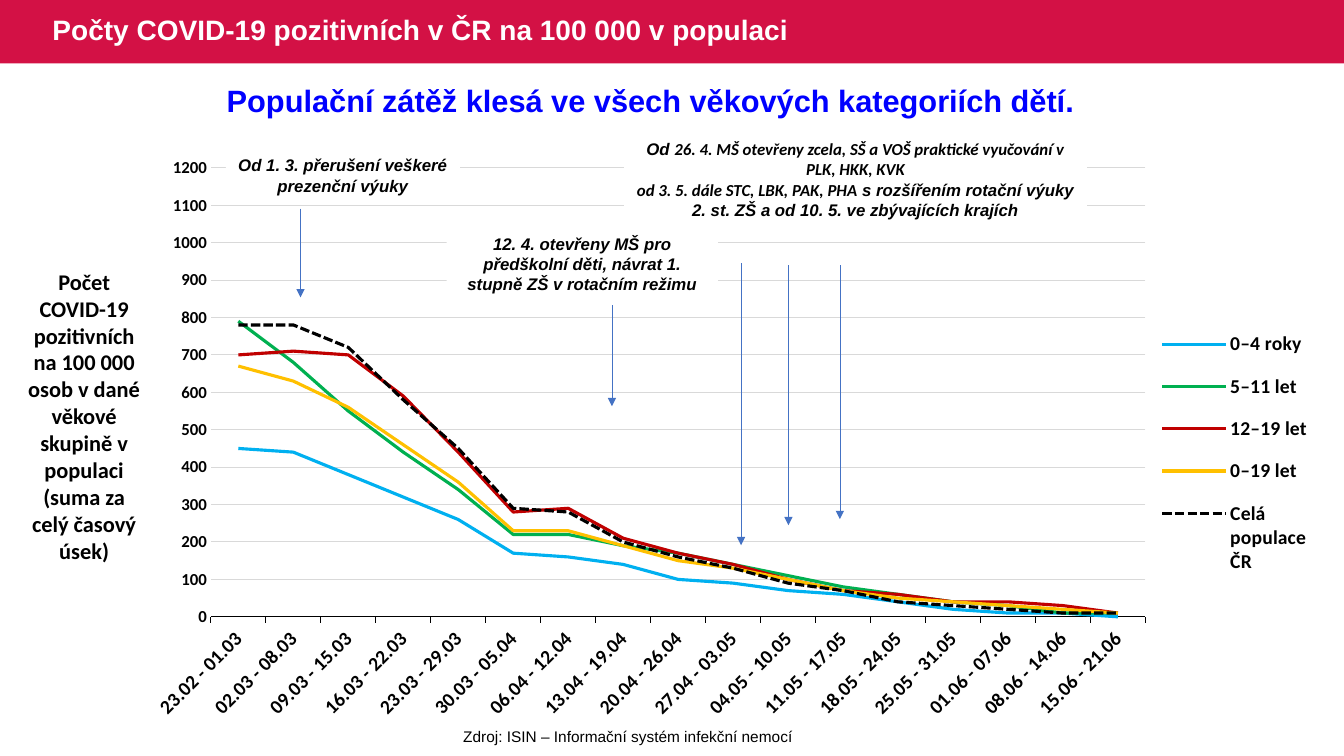
import pptx
import pptx.chart.data
import pptx.dml.color
import pptx.enum.chart
import pptx.enum.dml
import pptx.enum.shapes
import pptx.enum.text
import pptx.oxml
import pptx.oxml.ns
import pptx.util

Inches = pptx.util.Inches
Pt = pptx.util.Pt
RGBColor = pptx.dml.color.RGBColor
qn = pptx.oxml.ns.qn
Align = pptx.enum.text.PP_ALIGN
Tick = pptx.enum.chart.XL_TICK_MARK

RED = RGBColor(0xD3, 0x11, 0x45)
WHITE = RGBColor(0xFF, 0xFF, 0xFF)
BLACK = RGBColor(0, 0, 0)
BLUE = RGBColor(0, 0, 0xFF)
ARROW = RGBColor(0x44, 0x72, 0xC4)
GRID = RGBColor(0xD9, 0xD9, 0xD9)
SKY = RGBColor(0, 0xB0, 0xF0)
GREEN = RGBColor(0, 0xB0, 0x50)
DARK_RED = RGBColor(0xC0, 0, 0)
GOLD = RGBColor(0xFF, 0xC0, 0)


def write(box, text, size=12, font="Arial", colour=BLACK, bold=True, italic=False, align=Align.CENTER):
    box.text_frame.word_wrap = True
    para = box.text_frame.paragraphs[0]
    para.alignment = align
    for number, line in enumerate(text.split("\n")):
        if number:
            para.add_line_break()
        span = para.add_run()
        span.text = line
        span.font.size = Pt(size)
        span.font.name = font
        span.font.bold = bold
        span.font.italic = italic
        span.font.color.rgb = colour


def make_layout(x, y, width, height, target=""):
    return pptx.oxml.parse_xml(
        '<c:layout xmlns:c="http://schemas.openxmlformats.org/drawingml/2006/chart"><c:manualLayout>'
        f'{target}<c:xMode val="edge"/><c:yMode val="edge"/><c:x val="{x}"/><c:y val="{y}"/>'
        f'<c:w val="{width}"/><c:h val="{height}"/></c:manualLayout></c:layout>')


deck = pptx.Presentation()
deck.slide_width = Inches(13.33)
deck.slide_height = Inches(7.5)
page = deck.slides.add_slide(deck.slide_layouts[5])

title = page.shapes.title
title.left, title.top, title.width, title.height = Inches(0.42), 0, Inches(8.37), Inches(0.63)
title.text_frame.vertical_anchor = pptx.enum.text.MSO_ANCHOR.MIDDLE
title.text_frame.auto_size = pptx.enum.text.MSO_AUTO_SIZE.NONE
title.text_frame.paragraphs[0].line_spacing = 0.9
write(title, "Počty COVID-19 pozitivních v ČR na 100 000 v populaci", size=20, colour=WHITE, align=Align.LEFT)

band = page.shapes.add_shape(pptx.enum.shapes.MSO_SHAPE.RECTANGLE, 0, 0, deck.slide_width, Inches(0.63))
band.shadow.inherit = False
band.fill.solid()
band.fill.fore_color.rgb = RED
band.line.fill.background()
title.element.addprevious(band.element)

source = page.shapes.add_textbox(Inches(2.36), Inches(7.16), Inches(7.74), Inches(0.29))
write(source, "Zdroj: ISIN – Informační systém infekční nemocí", size=11, bold=False)

weeks = ["23.02 - 01.03", "02.03 - 08.03", "09.03 - 15.03", "16.03 - 22.03", "23.03 - 29.03", "30.03 - 05.04",
         "06.04 - 12.04", "13.04 - 19.04", "20.04 - 26.04", "27.04 - 03.05", "04.05 - 10.05", "11.05 - 17.05",
         "18.05 - 24.05", "25.05 - 31.05", "01.06 - 07.06", "08.06 - 14.06", "15.06 - 21.06"]
age_groups = [
    ("0–4 roky", SKY, [450, 440, 380, 320, 260, 170, 160, 140, 100, 90, 70, 60, 40, 20, 10, 10, 0]),
    ("5–11 let", GREEN, [790, 680, 550, 440, 340, 220, 220, 190, 170, 140, 110, 80, 60, 40, 30, 10, 10]),
    ("12–19 let", DARK_RED, [700, 710, 700, 590, 440, 280, 290, 210, 170, 140, 100, 70, 60, 40, 40, 30, 10]),
    ("0–19 let", GOLD, [670, 630, 560, 460, 360, 230, 230, 190, 150, 130, 100, 70, 50, 40, 30, 20, 10]),
    ("Celá populace ČR", BLACK, [780, 780, 720, 580, 450, 290, 280, 200, 160, 130, 90, 70, 40, 30, 20, 10, 10]),
]
data = pptx.chart.data.CategoryChartData()
data.categories = weeks
for name, colour, values in age_groups:
    data.add_series(name, values)
chart = page.shapes.add_chart(pptx.enum.chart.XL_CHART_TYPE.LINE, Inches(1.52), Inches(1.53),
                              Inches(11.66), Inches(5.87), data).chart
chart.has_title = False
chart.has_legend = True
chart.legend.position = pptx.enum.chart.XL_LEGEND_POSITION.RIGHT
chart.legend.include_in_layout = False
chart.plots[0].vary_by_categories = False

weeks_axis, counts_axis = chart.category_axis, chart.value_axis
for font, size in [(chart.font, 14), (chart.legend.font, 14),
                   (weeks_axis.tick_labels.font, 14), (counts_axis.tick_labels.font, 12)]:
    font.name = "Calibri"
    font.size = Pt(size)
    font.bold = True
    font.color.rgb = BLACK
weeks_axis.major_tick_mark = Tick.OUTSIDE
weeks_axis.format.line.color.rgb = BLACK
weeks_axis.format.line.width = Pt(0.75)
weeks_axis._element.find(qn("c:txPr")).find(qn("a:bodyPr")).set("rot", "-2700000")
counts_axis.minimum_scale = 0
counts_axis.maximum_scale = 1200
counts_axis.major_unit = 100
counts_axis.major_tick_mark = Tick.NONE
counts_axis.format.line.fill.background()
counts_axis.major_gridlines.format.line.color.rgb = GRID
counts_axis.major_gridlines.format.line.width = Pt(0.75)

for series, (name, colour, values) in zip(chart.plots[0].series, age_groups):
    series.smooth = False
    series.marker.style = pptx.enum.chart.XL_MARKER_STYLE.NONE
    series.format.line.color.rgb = colour
    series.format.line.width = Pt(2.25)
series.format.line.dash_style = pptx.enum.dml.MSO_LINE.SQUARE_DOT

plot_area = chart.plots[0]._element.getparent()
for old_layout in plot_area.findall(qn("c:layout")):
    plot_area.remove(old_layout)
plot_area.insert(0, make_layout(0.049, 0.023, 0.795, 0.759, '<c:layoutTarget val="inner"/>'))
legend = chart.legend._element
for old_layout in legend.findall(qn("c:layout")):
    legend.remove(old_layout)
legend.find(qn("c:legendPos")).addnext(make_layout(0.85, 0.27, 0.14, 0.47))

axis_caption = page.shapes.add_textbox(Inches(0.15), Inches(2.61), Inches(1.37), Inches(3.06))
write(axis_caption, "Počet COVID-19 pozitivních na 100 000 osob v dané věkové skupině "
      "v populaci (suma za celý časový úsek)", size=16, font="Calibri")
headline = page.shapes.add_textbox(Inches(0.29), Inches(0.76), Inches(12.41), Inches(0.47))
write(headline, "Populační zátěž klesá ve všech věkových kategoriích dětí. ", size=22, colour=BLUE)

callouts = [
    (2.24, 1.49, 2.32, 0.5, [("Od 1. 3. přerušení veškeré prezenční výuky", "Arial")]),
    (4.43, 2.27, 2.69, 0.71,
     [("12. 4. otevřeny MŠ pro předškolní děti, návrat 1. stupně ZŠ v rotačním režimu", "Arial")]),
    (6.19, 1.33, 4.59, 0.91,
     [("Od ", "Arial"),
      ("26. 4. MŠ otevřeny zcela, SŠ a VOŠ praktické vyučování v PLK, HKK, KVK\n"
       "od 3. 5. dále STC, LBK, PAK, PHA", "Calibri"),
      (" s rozšířením rotační výuky 2. st. ZŠ a od 10. 5. ve zbývajících krajích", "Arial")]),
]
for left, top, width, height, spans in callouts:
    callout = page.shapes.add_textbox(Inches(left), Inches(top), Inches(width), Inches(height))
    callout.fill.solid()
    callout.fill.fore_color.rgb = WHITE
    for text, font in spans:
        write(callout, text, font=font, italic=True)

for x, start, end in [(2.98, 2.07, 2.95), (6.07, 3.03, 4.03), (7.35, 2.61, 5.41),
                      (7.82, 2.63, 5.21), (8.33, 2.63, 5.15)]:
    arrow = page.shapes.add_connector(pptx.enum.shapes.MSO_CONNECTOR.STRAIGHT,
                                      Inches(x), Inches(start), Inches(x), Inches(end))
    arrow.line.color.rgb = ARROW
    arrow.line.width = Pt(0.5)
    tail = pptx.oxml.ns.qn("a:tailEnd")
    arrow.line._get_or_add_ln().append(arrow.element.makeelement(tail, {"type": "triangle"}))
    arrow.element.spPr.append(arrow.element.makeelement(qn("a:effectLst"), {}))

deck.save("out.pptx")
